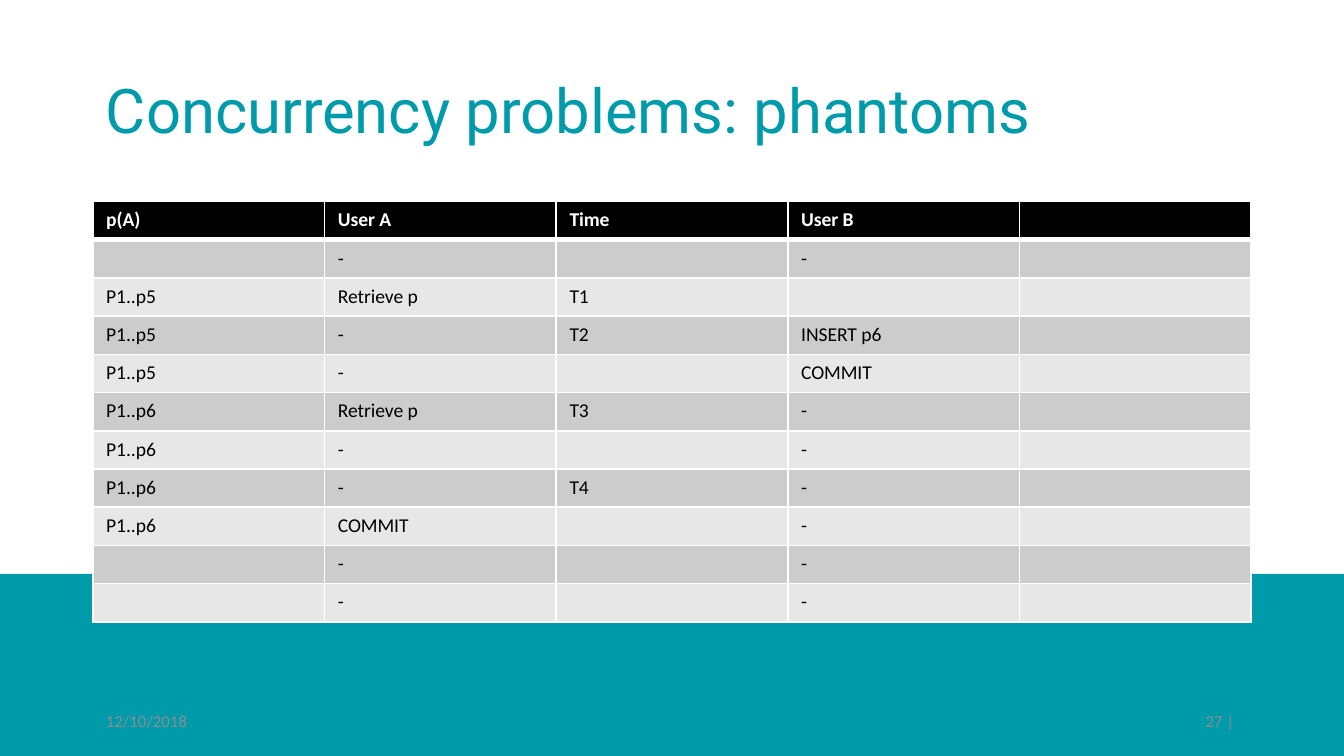
"""Build a slide tabulating the phantom problem between two concurrent users."""
from lxml.etree import SubElement
from pptx import Presentation
from pptx.dml.color import RGBColor
from pptx.enum.shapes import MSO_SHAPE
from pptx.enum.text import MSO_ANCHOR, PP_ALIGN
from pptx.oxml import parse_xml
from pptx.oxml.ns import nsdecls, qn
from pptx.util import Inches, Pt

COLORS = {"teal": "009BAA", "white": "FFFFFF", "black": "000000",
          "dark_band": "CCCCCC", "light_band": "E7E7E7", "gray": "8C8C8C"}
SLIDE_WIDTH = 10
SLIDE_HEIGHT = SLIDE_WIDTH * 9 / 16
BAND_TOP = 4.27
MARGIN, CONTENT_WIDTH = 0.69, 8.62
TABLE_TOP, TABLE_HEIGHT = 1.5, 3.13
FOOTER_TOP, FOOTER_WIDTH, FOOTER_HEIGHT = 5.21, 2.25, 0.3

ROWS = [
    ("p(A)", "User A", "Time", "User B", ""),
    ("", "-", "", "-", ""),
    ("P1..p5", "Retrieve p", "T1", "", ""),
    ("P1..p5", "-", "T2", "INSERT p6", ""),
    ("P1..p5", "-", "", "COMMIT", ""),
    ("P1..p6", "Retrieve p", "T3", "-", ""),
    ("P1..p6", "-", "", "-", ""),
    ("P1..p6", "-", "T4", "-", ""),
    ("P1..p6", "COMMIT", "", "-", ""),
    ("", "-", "", "-", ""),
    ("", "-", "", "-", ""),
]

TITLE_FONT = {"name": "Roboto", "size": Pt(33)}
TABLE_FONT = {"name": "Calibri", "size": Pt(10.5)}
FOOTER_FONT = {"name": "Calibri", "size": Pt(9)}

TEXTS = [
    ("Concurrency problems: phantoms", (MARGIN, 0.3, CONTENT_WIDTH, 1.09),
     TITLE_FONT, "teal", {"line_spacing": 0.9}),
    ("12/10/2018", (MARGIN, FOOTER_TOP, FOOTER_WIDTH, FOOTER_HEIGHT),
     FOOTER_FONT, "gray", {}),
    ("27 | ", (MARGIN + CONTENT_WIDTH - FOOTER_WIDTH, FOOTER_TOP, FOOTER_WIDTH, FOOTER_HEIGHT),
     FOOTER_FONT, "gray", {"alignment": PP_ALIGN.RIGHT}),
]


def rgb(name):
    return RGBColor.from_string(COLORS[name])


def write(paragraph, text, font, color):
    span = paragraph.add_run()
    span.text = text
    for key, value in font.items():
        setattr(span.font, key, value)
    span.font.color.rgb = rgb(color)


def add_text(page, text, place, font, color, layout):
    box = page.shapes.add_textbox(*map(Inches, place))
    box.text_frame.word_wrap = True
    box.text_frame.vertical_anchor = MSO_ANCHOR.MIDDLE
    paragraph = box.text_frame.paragraphs[0]
    for key, value in layout.items():
        setattr(paragraph, key, value)
    write(paragraph, text, font, color)


def set_borders(cell, widths):
    properties = cell._tc.get_or_add_tcPr()
    for index, (side, width) in enumerate(widths.items()):
        properties.insert(index, parse_xml(
            f'<a:ln{side} {nsdecls("a")} w="{Pt(width)}"><a:solidFill>'
            f'<a:srgbClr val="{COLORS["white"]}"/></a:solidFill></a:ln{side}>'))


def add_schedule(page):
    frame = page.shapes.add_table(len(ROWS), len(ROWS[0]), *map(
        Inches, (MARGIN, TABLE_TOP, CONTENT_WIDTH, TABLE_HEIGHT)))
    for r, values in enumerate(ROWS):
        header = r == 0
        fill = "black" if header else "dark_band" if r % 2 else "light_band"
        for c, text in enumerate(values):
            cell = frame.table.cell(r, c)
            cell.fill.solid()
            cell.fill.fore_color.rgb = rgb(fill)
            set_borders(cell, {"L": 1, "R": 1, "T": 3 if r == 1 else 1, "B": 3 if header else 1})
            paragraph = cell.text_frame.paragraphs[0]
            if text:
                write(paragraph, text, {**TABLE_FONT, "bold": header},
                      "white" if header else "black")
            else:
                SubElement(paragraph._p, qn("a:endParaRPr"), sz="1050")


def main():
    deck = Presentation()
    deck.slide_width, deck.slide_height = Inches(SLIDE_WIDTH), Inches(SLIDE_HEIGHT)
    page = deck.slides.add_slide(deck.slide_layouts[6])
    band = page.shapes.add_shape(MSO_SHAPE.RECTANGLE, *map(
        Inches, (0, BAND_TOP, SLIDE_WIDTH, SLIDE_HEIGHT - BAND_TOP)))
    band.shadow.inherit = False
    band.fill.solid()
    band.fill.fore_color.rgb = rgb("teal")
    band.line.fill.background()
    for item in TEXTS:
        add_text(page, *item)
    add_schedule(page)
    deck.save("out.pptx")


if __name__ == "__main__":
    main()
